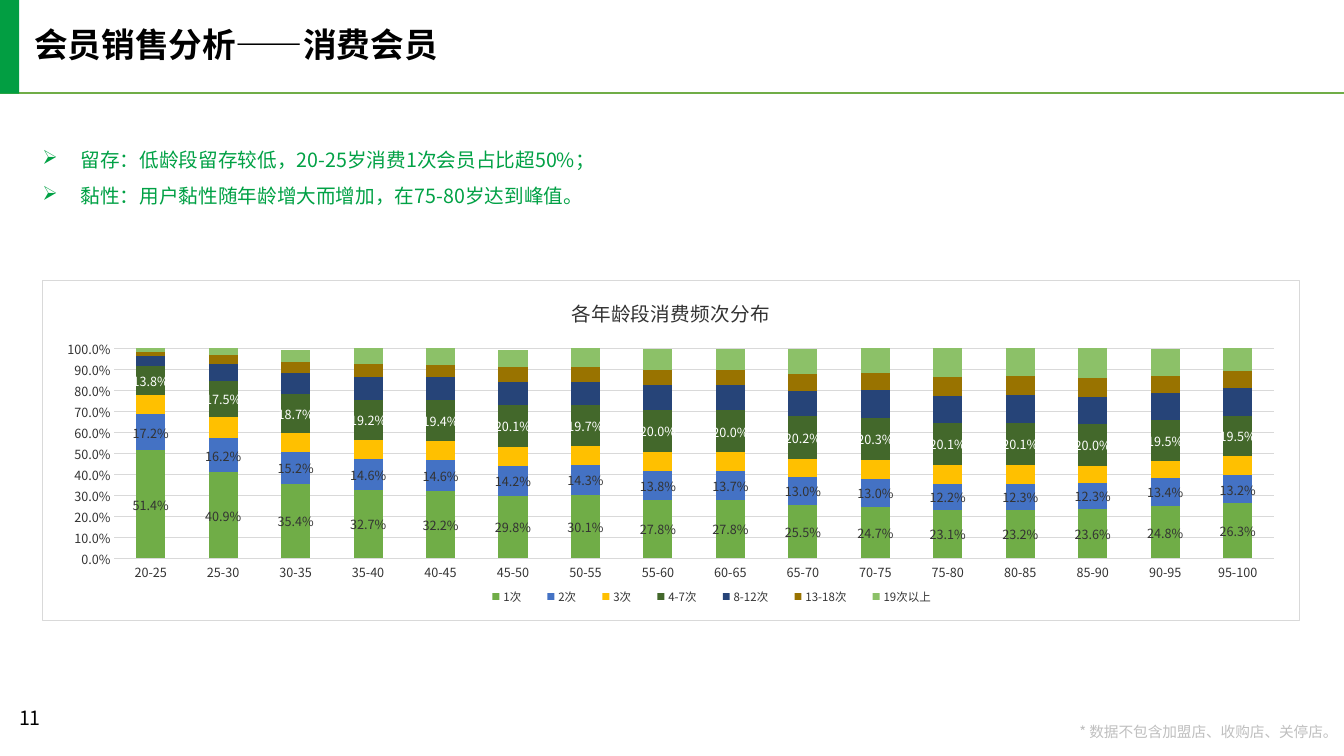
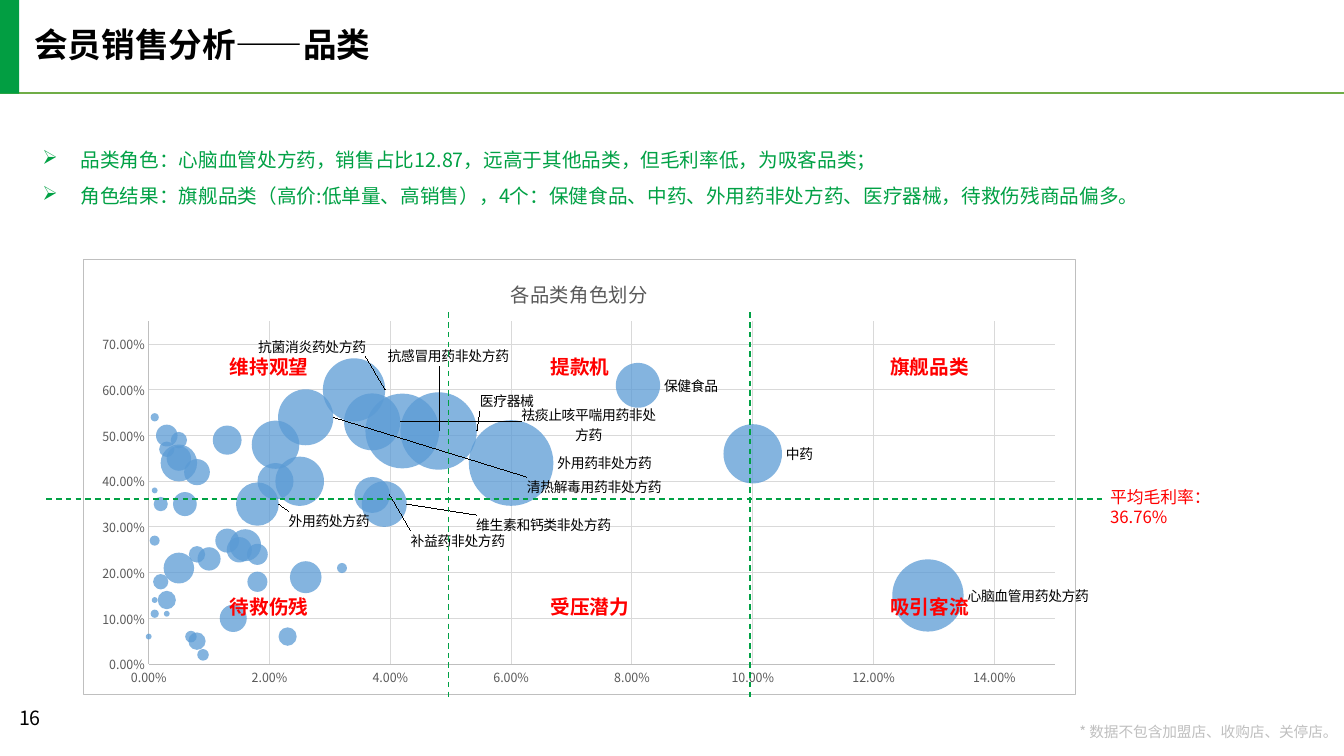
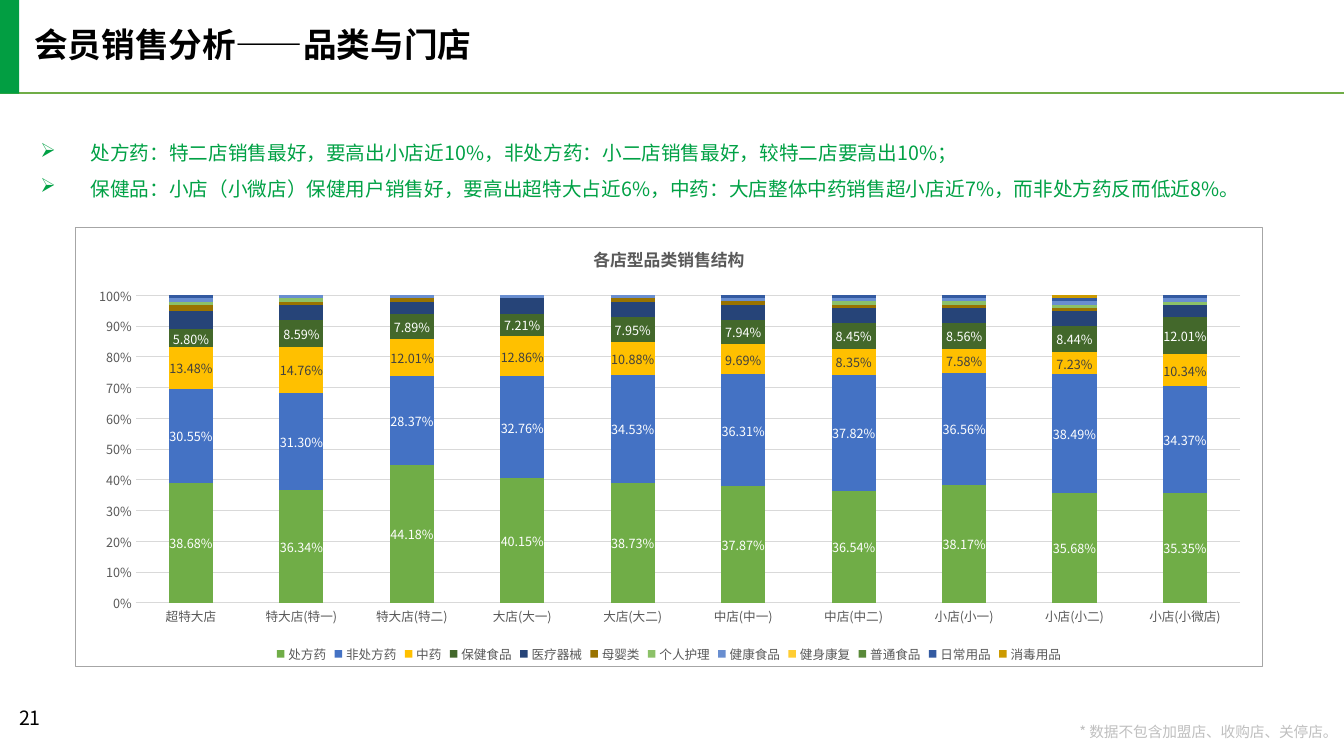
from lxml import etree
from pptx import Presentation
from pptx.chart.data import BubbleChartData, CategoryChartData
from pptx.dml.color import RGBColor
from pptx.enum.chart import XL_CHART_TYPE as ChartType
from pptx.enum.chart import XL_LABEL_POSITION as LabelPosition
from pptx.enum.chart import XL_LEGEND_POSITION as LegendPosition
from pptx.enum.chart import XL_TICK_MARK as TickMark
from pptx.enum.dml import MSO_LINE
from pptx.enum.shapes import MSO_CONNECTOR, MSO_SHAPE
from pptx.enum.text import MSO_ANCHOR, MSO_AUTO_SIZE, PP_ALIGN
from pptx.oxml import parse_xml
from pptx.oxml.ns import nsdecls, qn
from pptx.util import Inches, Pt

FONT = "Noto Sans CJK SC"
C15 = "http://schemas.microsoft.com/office/drawing/2012/chart"
COLORS = {
    "band": "029E42", "rule": "70AD47", "point": "01A145", "ink": "000000",
    "note": "BFBFBF", "alert": "FF0000", "white": "FFFFFF", "bubble": "5B9BD5",
    "grid": "D9D9D9", "axis": "BFBFBF", "frame": "A6A6A6",
    "dark": "333333", "gray": "595959", "label": "404040",
}
SERIES_COLORS = ["70AD47", "4472C4", "FFC000", "43682B", "264478", "997300",
                 "8CC168", "698ED0", "FFCD33", "5A8A39", "335AA1", "CC9A00"]
FOOTNOTE = "* 数据不包含加盟店、收购店、关停店。"

# Slide content: title, page number, points, place of the points, indent
PAGES = [
    ("会员销售分析——消费会员", 11,
     ["留存：低龄段留存较低，20-25岁消费1次会员占比超50%；",
      "黏性：用户黏性随年龄增大而增加，在75-80岁达到峰值。"],
     (0.42, 1.35), 0.38),
    ("会员销售分析——品类", 16,
     ["品类角色：心脑血管处方药，销售占比12.87，远高于其他品类，但毛利率低，为吸客品类；",
      "角色结果：旗舰品类（高价:低单量、高销售），4个：保健食品、中药、外用药非处方药、医疗器械，待救伤残商品偏多。"],
     (0.42, 1.35), 0.38),
    ("会员销售分析——品类与门店", 21,
     ["处方药：特二店销售最好，要高出小店近10%，非处方药：小二店销售最好，较特二店要高出10%；",
      "保健品：小店（小微店）保健用户销售好，要高出超特大占近6%，中药：大店整体中药销售超小店近7%，而非处方药反而低近8%。"],
     (0.4, 1.28), 0.5),
]

# Column charts: each series is name, label colour, values
FREQUENCY = {
    "title": "各年龄段消费频次分布", "title_size": 14, "bold": False,
    "type": ChartType.COLUMN_STACKED, "at": (0.42, 2.78, 12.47, 3.38),
    "plot": (0.057, 0.199, 0.923, 0.619), "legend": (0.34, 0.9, 0.385, 0.06),
    "legend_size": 8.2, "text": "dark", "border": "grid", "fill": "white",
    "max": 1, "axis_format": "0.0%", "label_format": "0.0%",
    "categories": [f"{age}-{age + 5}" for age in range(20, 100, 5)],
    "series": [
        ("1次", "dark", [0.514, 0.409, 0.354, 0.327, 0.322, 0.298, 0.301, 0.278,
                        0.278, 0.255, 0.247, 0.231, 0.232, 0.236, 0.248, 0.263]),
        ("2次", "dark", [0.172, 0.162, 0.152, 0.146, 0.146, 0.142, 0.143, 0.138,
                        0.137, 0.13, 0.13, 0.122, 0.123, 0.123, 0.134, 0.132]),
        ("3次", None, [0.09, 0.1, 0.09, 0.09, 0.09, 0.09, 0.09, 0.09,
                      0.09, 0.09, 0.09, 0.09, 0.09, 0.08, 0.08, 0.09]),
        ("4-7次", "white", [0.138, 0.175, 0.187, 0.192, 0.194, 0.201, 0.197, 0.2,
                           0.2, 0.202, 0.203, 0.201, 0.201, 0.2, 0.195, 0.195]),
        ("8-12次", None, [0.05, 0.08, 0.1, 0.11, 0.11, 0.11, 0.11, 0.12,
                         0.12, 0.12, 0.13, 0.13, 0.13, 0.13, 0.13, 0.13]),
        ("13-18次", None, [0.02, 0.04, 0.05, 0.06, 0.06, 0.07, 0.07, 0.07,
                          0.07, 0.08, 0.08, 0.09, 0.09, 0.09, 0.08, 0.08]),
        ("19次以上", None, [0.02, 0.04, 0.06, 0.08, 0.08, 0.08, 0.09, 0.1,
                         0.1, 0.12, 0.12, 0.14, 0.14, 0.14, 0.13, 0.12]),
    ],
}
STORES = {
    "title": "各店型品类销售结构", "title_size": 12, "bold": True,
    "type": ChartType.COLUMN_STACKED_100, "at": (0.74, 2.25, 11.79, 4.37),
    "plot": (0.051, 0.155, 0.93, 0.7), "legend": None,
    "legend_size": 9, "text": "gray", "border": "frame", "fill": None,
    "max": None, "axis_format": "0%", "label_format": "0.00%",
    "categories": ["超特大店", "特大店(特一)", "特大店(特二)", "大店(大一)", "大店(大二)",
                   "中店(中一)", "中店(中二)", "小店(小一)", "小店(小二)", "小店(小微店)"],
    "series": [
        ("处方药", "white", [0.3868, 0.3634, 0.4418, 0.4015, 0.3873,
                          0.3787, 0.3654, 0.3817, 0.3568, 0.3535]),
        ("非处方药", "white", [0.3055, 0.313, 0.2837, 0.3276, 0.3453,
                           0.3631, 0.3782, 0.3656, 0.3849, 0.3437]),
        ("中药", "label", [0.1348, 0.1476, 0.1201, 0.1286, 0.1088,
                         0.0969, 0.0835, 0.0758, 0.0723, 0.1034]),
        ("保健食品", "white", [0.058, 0.0859, 0.0789, 0.0721, 0.0795,
                           0.0794, 0.0845, 0.0856, 0.0844, 0.1201]),
        ("医疗器械", None, [0.06, 0.05, 0.04, 0.05, 0.05, 0.05, 0.05, 0.05, 0.05, 0.04]),
        ("母婴类", None, [0.02, 0.01, 0.01, 0, 0.01, 0.01, 0.01, 0.01, 0.01, 0]),
        ("个人护理", None, [0.01, 0.01, 0, 0, 0, 0, 0.01, 0.01, 0.01, 0.01]),
        ("健康食品", None, [0.01] * 10),
        ("健身康复", None, [0] * 10),
        ("普通食品", None, [0] * 10),
        ("日常用品", None, [0.01, 0, 0, 0, 0, 0.01, 0.01, 0.01, 0.01, 0.01]),
        ("消毒用品", None, [0, 0, 0, 0, 0, 0, 0, 0, 0.01, 0]),
    ],
}

# Bubble chart: sales share (per mille), margin (percent), size (100,000)
SHARES = [129, 100, 81, 60, 48, 42, 39, 37, 37, 34, 32, 26, 26, 25, 23, 21, 21, 18, 18,
          18, 16, 15, 14, 13, 13, 10, 9, 8, 8, 8, 7, 6, 5, 5, 5, 5, 3, 3, 3, 3, 2, 2,
          1, 1, 1, 1, 1, 0, 0, 0, 0, 0, 0, 0, 0]
MARGINS = [15, 46, 61, 44, 51, 51, 35, 37, 53, 60, 21, 54, 19, 40, 6, 40, 48, 24, 18,
           35, 26, 25, 10, 27, 49, 23, 2, 42, 5, 24, 6, 35, 45, 49, 21, 44, 11, 50, 47,
           14, 18, 35, 38, 27, 54, 14, 11, 6, 9, 43, 54, 4, 19, 66, 25]
SIZES = [153, 103, 59, 215, 176, 164, 61, 38, 95, 117, 3, 92, 30, 71, 10, 39, 68, 13,
         12, 55, 30, 19, 22, 17, 25, 16, 4, 20, 9, 8, 4, 17, 18, 8, 28, 40, 1, 14, 7,
         10, 7, 6, 1, 3, 2, 1, 2, 1, 0, 0, 0, 0, 0, 0, 0]
# Point number: label, shift from its usual place as a share of the chart
BUBBLE_LABELS = {
    0: ("心脑血管用药处方药", None), 1: ("中药", None),
    2: ("保健食品", None), 3: ("外用药非处方药", None),
    4: ("医疗器械", (-0.001, -0.069)), 5: ("抗感冒用药非处方药", (-0.056, -0.172)),
    6: ("维生素和钙类非处方药", (0.066, 0.048)), 7: ("补益药非处方药", (0.017, 0.105)),
    8: ("祛痰止咳平喘用药非处方药", (0.118, 0.007)),
    9: ("抗菌消炎药处方药", (-0.132, -0.099)),
    11: ("清热解毒用药非处方药", (0.191, 0.16)), 19: ("外用药处方药", (0.006, 0.039)),
}
QUADRANT_LEFTS = (2.28, 5.46, 8.83)
QUADRANTS = [(3.52, ("维持观望", "提款机", "旗舰品类")),
             (5.9, ("待救伤残", "受压潜力", "吸引客流"))]
DIVIDERS = [(4.45, 3.1, 4.45, 6.91), (7.44, 3.1, 7.44, 6.91), (0.46, 4.95, 10.93, 4.95)]


def rgb(name):
    return RGBColor.from_string(COLORS.get(name, name))


def style_font(font, size, color, bold=False):
    font.size, font.bold, font.name = Pt(size), bold, FONT
    font.color.rgb = rgb(color)
    latin = font._rPr.find(qn("a:latin"))
    latin.addnext(parse_xml(f'<a:ea {nsdecls("a")} typeface="{FONT}"/>'))


def fill_frame(frame, texts, size, color, bold=False, spacing=None, align=None):
    for number, text in enumerate(texts):
        para = frame.add_paragraph() if number else frame.paragraphs[0]
        para.text = text
        para.line_spacing, para.alignment = spacing, align
        for span in para.runs:
            style_font(span.font, size, color, bold)


def clear_margins(frame):
    frame.margin_left = frame.margin_top = frame.margin_right = frame.margin_bottom = 0


def add_text(page, at, texts, size, color, margins=False, wrap=False, **style):
    frame = page.shapes.add_textbox(*map(Inches, at)).text_frame
    frame.word_wrap = wrap
    if not margins:
        clear_margins(frame)
    fill_frame(frame, texts, size, color, **style)
    return frame


def add_line(page, ends, color, width, dash=None):
    line = page.shapes.add_connector(MSO_CONNECTOR.STRAIGHT, *map(Inches, ends))
    line.line.color.rgb, line.line.width = rgb(color), Pt(width)
    if dash:
        line.line.dash_style = dash
    etree.SubElement(line._element.spPr, qn("a:effectLst"))


def add_points(page, texts, place, indent):
    frame = add_text(page, (*place, 12.47, 0.71), texts, 14, "point", wrap=True, spacing=1.5)
    frame.vertical_anchor = MSO_ANCHOR.MIDDLE
    for para in frame.paragraphs:
        properties = para._p.get_or_add_pPr()
        properties.set("marL", str(Inches(indent)))
        properties.set("indent", str(-Inches(indent)))
        etree.SubElement(properties, qn("a:buChar")).set("char", "➢")


def add_page(deck, title, number, points, place, indent):
    page = deck.slides.add_slide(deck.slide_layouts[5])
    add_line(page, (0, 0.92, 13.33, 0.92), "rule", 1.5)
    heading = page.shapes.title
    heading.left, heading.top, heading.width, heading.height = map(
        Inches, (0.34, 0.28, 6.29, 0.36))
    frame = heading.text_frame
    clear_margins(frame)
    frame.auto_size, frame.vertical_anchor = MSO_AUTO_SIZE.NONE, MSO_ANCHOR.MIDDLE
    fill_frame(frame, [title], 24, "ink", bold=True, spacing=0.9, align=PP_ALIGN.LEFT)
    band = page.shapes.add_shape(MSO_SHAPE.RECTANGLE, *map(Inches, (0, -0.01, 0.19, 0.94)))
    band.shadow.inherit = False
    band.fill.solid()
    band.fill.fore_color.rgb = rgb("band")
    band.line.fill.background()
    add_text(page, (10.66, 7.19, 2.61, 0.16), [FOOTNOTE], 10.5, "note",
             spacing=0.9, align=PP_ALIGN.RIGHT)
    add_text(page, (0.09, 6.95, 0.91, 0.4), [str(number)], 14, "ink", margins=True, wrap=True)
    add_points(page, points, place, indent)
    return page


# Chart helpers
def layout_xml(box, target=""):
    names = ("x", "y", "w", "h")
    modes = "".join(f'<c:{name}Mode val="edge"/>' for name in names[:2])
    values = "".join(f'<c:{name} val="{value}"/>' for name, value in zip(names, box))
    if len(box) == 2:
        modes = ""
    return parse_xml(f'<c:layout {nsdecls("c")}><c:manualLayout>{target}{modes}{values}'
                     '</c:manualLayout></c:layout>')


def set_layout(parent, box, after=None, target=""):
    for old in parent.findall(qn("c:layout")):
        parent.remove(old)
    layout = layout_xml(box, target)
    if after is None:
        parent.insert(0, layout)
    else:
        parent.find(qn(after)).addnext(layout)


def style_chart(chart, title, size, color, border, plot, bold=False, fill=None):
    style_font(chart.font, 10, "ink")
    chart.has_title = True
    fill_frame(chart.chart_title.text_frame, [title], size, color, bold)
    chart.chart_title.include_in_layout = False
    inside = f'<a:solidFill><a:srgbClr val="{COLORS[fill]}"/></a:solidFill>' if fill else "<a:noFill/>"
    root = chart.element.find(qn("c:chart"))
    root.addnext(parse_xml(
        f'<c:spPr {nsdecls("c", "a")}>{inside}<a:ln w="{Pt(0.75)}"><a:solidFill>'
        f'<a:srgbClr val="{COLORS[border]}"/></a:solidFill></a:ln></c:spPr>'))
    set_layout(root.find(qn("c:plotArea")), plot, target='<c:layoutTarget val="inner"/>')


def style_axis(axis, color, line=None, grid=True):
    axis.major_tick_mark = axis.minor_tick_mark = TickMark.NONE
    style_font(axis.tick_labels.font, 9, color)
    axis.has_major_gridlines = grid
    lines = [(axis.format.line, line)]
    if grid:
        lines.append((axis.major_gridlines.format.line, "grid"))
    for stroke, name in lines:
        if name:
            stroke.color.rgb, stroke.width = rgb(name), Pt(0.75)
        else:
            stroke.fill.background()


def scale_axis(axis, number_format, unit, top=None):
    axis.tick_labels.number_format = number_format
    axis.tick_labels.number_format_is_linked = False
    axis.major_unit = unit
    if top:
        axis.minimum_scale, axis.maximum_scale = 0, top


def add_columns(page, info):
    data = CategoryChartData(number_format=info["label_format"])
    data.categories = info["categories"]
    for name, _, values in info["series"]:
        data.add_series(name, values)
    chart = page.shapes.add_chart(info["type"], *map(Inches, info["at"]), data).chart
    style_chart(chart, info["title"], info["title_size"], info["text"], info["border"],
                info["plot"], info["bold"], info["fill"])
    style_axis(chart.category_axis, info["text"], line="grid", grid=False)
    style_axis(chart.value_axis, info["text"])
    scale_axis(chart.value_axis, info["axis_format"], 0.1, info["max"])
    chart.has_legend = True
    chart.legend.position, chart.legend.include_in_layout = LegendPosition.BOTTOM, False
    style_font(chart.legend.font, info["legend_size"], info["text"])
    if info["legend"]:
        set_layout(chart.legend._element, info["legend"], after="c:legendPos")
    plot = chart.plots[0]
    plot.gap_width, plot.overlap, plot.vary_by_categories = 150, 100, False
    for series, color, (_, label_color, _) in zip(plot.series, SERIES_COLORS, info["series"]):
        series.format.fill.solid()
        series.format.fill.fore_color.rgb = rgb(color)
        if label_color:
            labels = series.data_labels
            labels.show_value, labels.position = True, LabelPosition.CENTER
            labels.number_format, labels.number_format_is_linked = info["label_format"], False
            style_font(labels.font, 9, label_color)


def add_bubbles(page):
    data = BubbleChartData(number_format="0.00%")
    points = data.add_series("Series 1")
    for share, margin, size in zip(SHARES, MARGINS, SIZES):
        points.add_data_point(share / 1000, margin / 100, size * 100000)
    chart = page.shapes.add_chart(
        ChartType.BUBBLE, *map(Inches, (0.82, 2.57, 10, 4.33)), data).chart
    style_chart(chart, "各品类角色划分", 14, "gray", "axis", (0.066, 0.142, 0.913, 0.787))
    chart.has_legend = False
    for axis, unit, top in ((chart.category_axis, 0.02, 0.15), (chart.value_axis, 0.1, 0.75)):
        style_axis(axis, "gray", line="axis")
        scale_axis(axis, "0.00%", unit, top)
    series = chart.plots[0].series[0]
    series.format.fill.solid()
    series.format.fill.fore_color.rgb = rgb("bubble")
    series.format.line.fill.background()
    tint = series._element.find(".//" + qn("a:srgbClr"))
    etree.SubElement(tint, qn("a:alpha")).set("val", "75000")

    # Named bubbles, with leader lines to the labels that are moved
    series_labels = series.points[0].data_label._get_or_add_dLbl().getparent()
    for number, (text, shift) in BUBBLE_LABELS.items():
        label = series.points[number].data_label
        fill_frame(label.text_frame, [text], 10, "ink")
        label.position = LabelPosition.RIGHT
        if shift:
            set_layout(label._get_or_add_dLbl(), shift, after="c:idx")
    series_labels.find(qn("c:showVal")).set("val", "0")
    series_labels.append(parse_xml(
        f'<c:extLst {nsdecls("c", "a")}><c:ext uri="{{CE6537A1-D6FC-4f65-9D91-7224C49458BB}}" '
        f'xmlns:c15="{C15}"><c15:showLeaderLines val="1"/><c15:leaderLines><c:spPr>'
        f'<a:ln w="{Pt(0.75)}"><a:solidFill><a:srgbClr val="{COLORS["ink"]}"/></a:solidFill>'
        '</a:ln></c:spPr></c15:leaderLines></c:ext></c:extLst>'))


def add_quadrants(page):
    for ends in DIVIDERS:
        add_line(page, ends, "point", 1, MSO_LINE.DASH)
    add_text(page, (11.01, 4.83, 1.59, 0.4), ["平均毛利率：", "36.76%"], 12, "alert")
    for top, names in QUADRANTS:
        for left, name in zip(QUADRANT_LEFTS, names):
            add_text(page, (left, top, 0.2 * len(name), 0.24), [name], 14, "alert", bold=True)


def main():
    deck = Presentation()
    deck.slide_width, deck.slide_height = Inches(13.33), Inches(7.5)
    members, categories, stores = [add_page(deck, *content) for content in PAGES]
    add_columns(members, FREQUENCY)
    add_bubbles(categories)
    add_quadrants(categories)
    add_columns(stores, STORES)
    deck.save("out.pptx")


if __name__ == "__main__":
    main()
